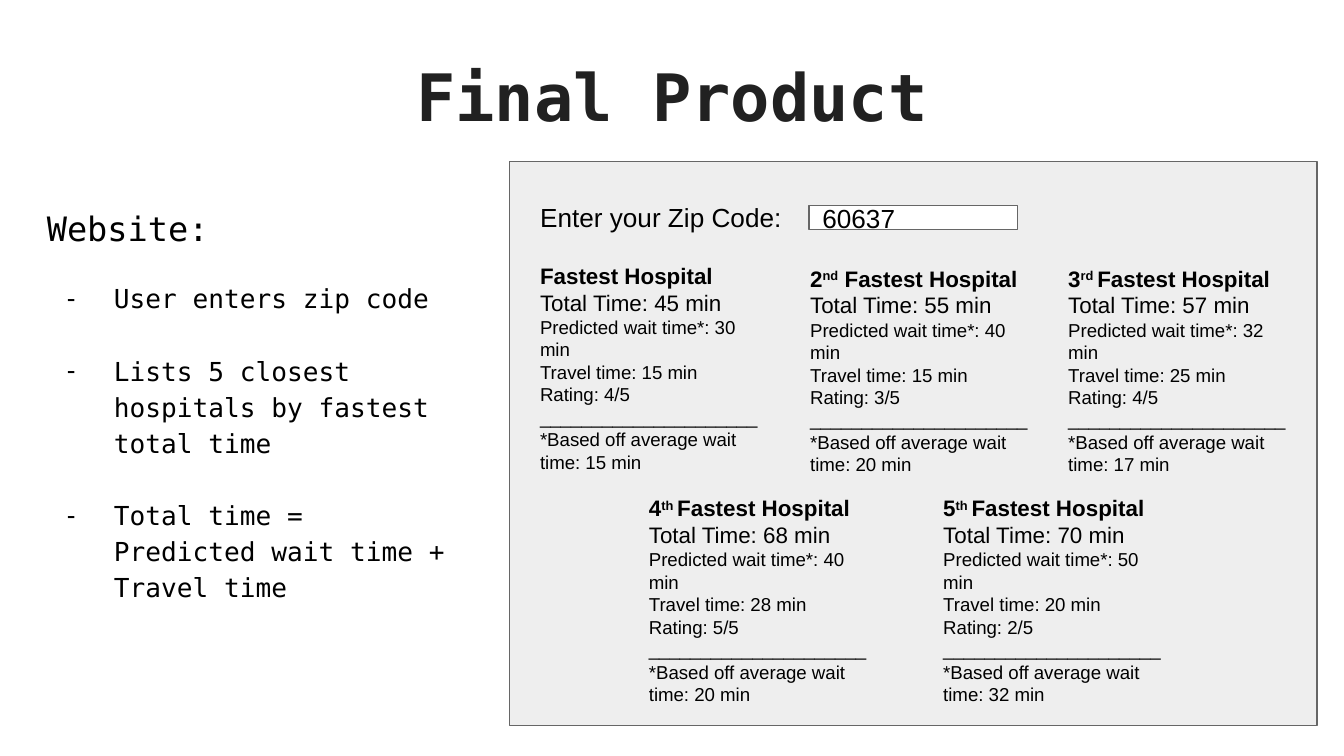
"""Build the Final Product slide with a mock-up of the hospital finder website."""
from lxml.etree import SubElement
from pptx import Presentation
from pptx.dml.color import RGBColor
from pptx.enum.shapes import MSO_SHAPE as Shape
from pptx.enum.text import MSO_ANCHOR as Anchor, PP_ALIGN as Align
from pptx.oxml.ns import qn
from pptx.util import Inches, Pt

BLACK = RGBColor(0x00, 0x00, 0x00)
CHARCOAL = RGBColor(0x21, 0x21, 0x21)
GREY = RGBColor(0x66, 0x66, 0x66)
PALE = RGBColor(0xEE, 0xEE, 0xEE)
WHITE = RGBColor(0xFF, 0xFF, 0xFF)
MONO, SANS = "DejaVu Sans Mono", "Arial"

FEATURES = [
    "User enters zip code",
    "Lists 5 closest hospitals by fastest total time",
    "Total time = Predicted wait time + Travel time",
]
HOSPITALS = [
    {"heading": ("", "", "Fastest Hospital"), "at": (3.92, 1.85),
     "wait": 30, "travel": 15, "rating": 4, "average": 15},
    {"heading": ("2", "nd", " Fastest Hospital"), "at": (5.93, 1.87),
     "wait": 40, "travel": 15, "rating": 3, "average": 20},
    {"heading": ("3", "rd ", "Fastest Hospital"), "at": (7.85, 1.87),
     "wait": 32, "travel": 25, "rating": 4, "average": 17},
    {"heading": ("4", "th ", "Fastest Hospital"), "at": (4.73, 3.58),
     "wait": 40, "travel": 28, "rating": 5, "average": 20},
    {"heading": ("5", "th ", "Fastest Hospital"), "at": (6.92, 3.58),
     "wait": 50, "travel": 20, "rating": 2, "average": 32},
]
CARD_SIZE = (1.83, 1.67)


def prepare_frame(shape, anchor=Anchor.TOP):
    frame = shape.text_frame
    frame.word_wrap = True
    frame.vertical_anchor = anchor
    frame.margin_left = frame.margin_right = Inches(0.1)
    frame.margin_top = frame.margin_bottom = Inches(0.1)
    return frame


def add_frame(slide, left, top, width, height):
    return prepare_frame(slide.shapes.add_textbox(
        Inches(left), Inches(top), Inches(width), Inches(height)))


def add_box(slide, left, top, width, height, fill):
    box = slide.shapes.add_shape(
        Shape.RECTANGLE, Inches(left), Inches(top), Inches(width), Inches(height))
    box.shadow.inherit = False
    box.fill.solid()
    box.fill.fore_color.rgb = fill
    box.line.color.rgb = GREY
    box.line.width = Pt(0.75)
    return box


def write(frame, *parts, size, font=SANS, color=BLACK, bold=False, align=Align.LEFT,
          spacing=None, before=0, after=0, raised=None):
    first = frame.paragraphs[0]
    paragraph = frame.add_paragraph() if first.runs else first
    paragraph.alignment = align
    paragraph.line_spacing = spacing
    paragraph.space_before, paragraph.space_after = Pt(before), Pt(after)
    for index, text in enumerate(parts):
        if not text:
            continue
        run = paragraph.add_run()
        run.text = text
        run.font.size, run.font.name, run.font.bold = Pt(size), font, bold
        run.font.color.rgb = color
        if index == raised:
            run.font._element.set("baseline", "30000")
    return paragraph


def add_dash(paragraph):
    properties = paragraph._p.get_or_add_pPr()
    properties.set("marL", str(Inches(0.5)))
    properties.set("indent", str(Inches(-0.35)))
    SubElement(properties, qn("a:buFont")).set("typeface", SANS)
    SubElement(properties, qn("a:buChar")).set("char", "-")


def add_hospital(slide, hospital):
    card = add_frame(slide, *hospital["at"], *CARD_SIZE)
    wait, travel = hospital["wait"], hospital["travel"]
    write(card, *hospital["heading"], size=12, bold=True, raised=1)
    write(card, f"Total Time: {wait + travel} min", size=12)
    for line in (
        f"Predicted wait time*: {wait} min",
        f"Travel time: {travel} min",
        f"Rating: {hospital['rating']}/5",
        "_" * 21,
        f"*Based off average wait time: {hospital['average']} min",
    ):
        write(card, line, size=10)


def main():
    presentation = Presentation()
    presentation.slide_width = Inches(10)
    presentation.slide_height = presentation.slide_width * 9 // 16
    slide = presentation.slides.add_slide(presentation.slide_layouts[6])

    title = add_frame(slide, 0.34, 0.32, 9.32, 0.88)
    write(title, "Final Product", size=35, font=MONO, color=CHARCOAL, bold=True,
          align=Align.CENTER)

    features = add_frame(slide, 0.25, 1.4, 3.23, 3.65)
    write(features, "Website:", size=18, font=MONO, spacing=1.15)
    for index, text in enumerate(FEATURES):
        before = 19.5 if index else 16
        add_dash(write(features, text, size=14, font=MONO, spacing=1.15, before=before))

    add_box(slide, 3.79, 1.2, 6.01, 4.2, PALE)
    zip_field = add_box(slide, 6.02, 1.53, 1.55, 0.18, WHITE)
    write(prepare_frame(zip_field, Anchor.MIDDLE), "60637", size=14)
    write(add_frame(slide, 3.92, 1.4, 2.15, 0.39), "Enter your Zip Code:", size=14)
    for hospital in HOSPITALS:
        add_hospital(slide, hospital)

    presentation.save("out.pptx")


if __name__ == "__main__":
    main()
